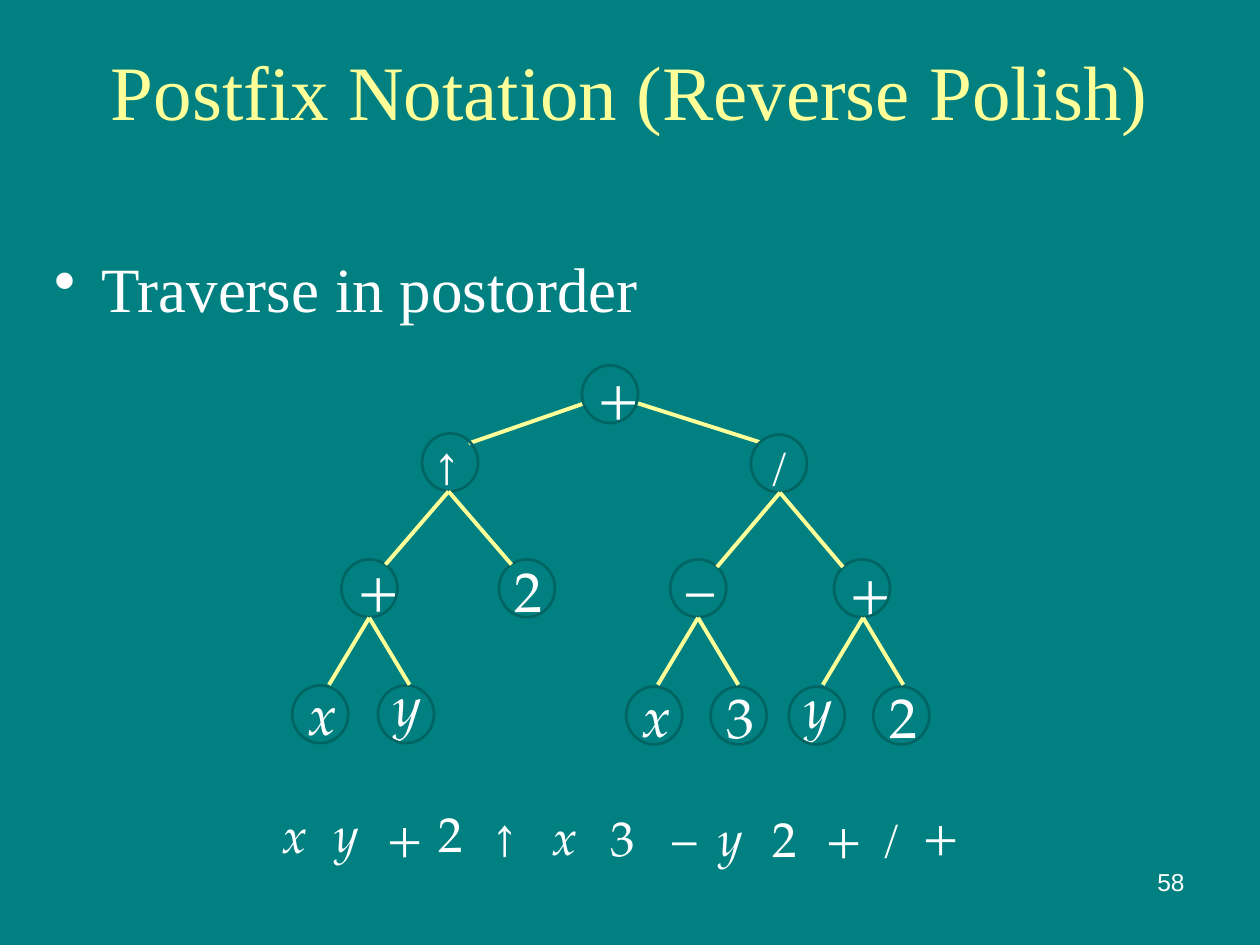
from dataclasses import dataclass

from lxml.etree import SubElement
from pptx import Presentation
from pptx.dml.color import RGBColor
from pptx.enum.shapes import MSO_CONNECTOR, MSO_SHAPE
from pptx.enum.text import MSO_ANCHOR, PP_ALIGN
from pptx.oxml.ns import qn
from pptx.slide import Slide
from pptx.util import Pt

COLOURS = {"board": "008080", "accent": "FFFF99", "ring": "006462", "chalk": "FFFFFF"}
SERIF, MATH, SANS = "Times New Roman", "TeX Gyre Pagella", "Arial"
VARIABLES = ("x", "y")


@dataclass
class Board:
    """Draws styled elements on one slide, measured in points."""

    slide: Slide

    def colour(self, name):
        return RGBColor.from_string(COLOURS[name])

    def background(self, name):
        fill = self.slide.background.fill
        fill.solid()
        fill.fore_color.rgb = self.colour(name)

    def text(self, wording, box, size, font, colour="chalk", align=PP_ALIGN.LEFT,
             anchor=MSO_ANCHOR.TOP, italic=False, wrap=True):
        frame = self.slide.shapes.add_textbox(*map(Pt, box)).text_frame
        frame.word_wrap = wrap
        frame.vertical_anchor = anchor
        frame.text = wording
        paragraph = frame.paragraphs[0]
        paragraph.alignment = align
        style = paragraph.runs[0].font
        style.size, style.name, style.italic = Pt(size), font, italic
        style.color.rgb = self.colour(colour)
        return paragraph

    def bullet(self, wording, box, size, indent):
        paragraph = self.text(wording, box, size, SERIF)
        paragraph.line_spacing = 0.9
        properties = paragraph._p.get_or_add_pPr()
        properties.set("marL", str(Pt(indent)))
        properties.set("indent", str(-Pt(indent)))
        SubElement(properties, qn("a:buChar")).set("char", "•")

    def symbol(self, sign, left, top, size, italic=False, **layout):
        width = max(28.8, size * (0.606 if sign == "+" else 0.5) + 14.4)
        box = (left, top, width, size * 1.125 + 9)
        self.text(sign, box, size, MATH, italic=italic or sign in VARIABLES,
                  wrap=False, **layout)

    def node(self, sign, left, top, shift, rise, size=32):
        self.symbol(sign, left + shift, top - rise, size)
        ring = self.slide.shapes.add_shape(
            MSO_SHAPE.OVAL, Pt(left), Pt(top), Pt(32), Pt(33))
        ring.shadow.inherit = False
        ring.fill.background()
        ring.line.color.rgb = self.colour("ring")
        ring.line.width = Pt(1.5)

    def branch(self, *ends):
        edge = self.slide.shapes.add_connector(MSO_CONNECTOR.STRAIGHT, *map(Pt, ends))
        edge.line.color.rgb = self.colour("accent")
        edge.line.width = Pt(2.25)
        SubElement(edge._element.spPr, qn("a:effectLst"))

    def fork(self, apex, top, half_span, bottom):
        for side in (-1, 1):
            self.branch(apex + side * half_span, bottom, apex, top)


NODES = [
    ("+", 332.6, 208.8, 1.5, 5.8),
    ("↑", 241.2, 247.7, 1.5, 0.7, 24),
    ("/", 429.1, 248.4, 3.6, 1.4, 24),
    ("+", 195.1, 319.7, 2, 7.2),
    ("2", 285.1, 319.7, 2, 5),
    ("–", 383, 319.7, 2, 7.2),
    ("+", 476.6, 319.7, 1.5, 5),
    ("x", 167, 391.7, 2, 7.2),
    ("y", 216, 391.7, 2, 12.2),
    ("x", 357.8, 392.4, 2, 6.5),
    ("3", 406.1, 392.4, 2, 5.8),
    ("y", 450.7, 392.4, 2, 11.5),
    ("2", 499, 392.4, 2, 5.8),
]
FORKS = [
    (256.3, 280.8, 36, 322.6),
    (445.7, 281.5, 36, 324),
    *((apex, 353, 23, 391.3) for apex in (211, 398.9, 493.2)),
]
ROOT_BRANCHES = [(434.2, 252.7, 364.3, 230.4), (267.8, 253.4, 334.1, 230.4)]
POSTFIX = [
    ("x", 154.1, 456.5, 28),
    ("y", 183.6, 455.8, 28),
    ("+", 213.8, 457.2, 28, True),
    ("2", 243.4, 455.8, 28),
    ("↑", 274.3, 459.4, 24),
    ("x", 308.2, 457.2, 28),
    ("3", 341.3, 457.9, 28),
    ("–", 376.6, 457.9, 28),
    ("y", 403.2, 457.9, 28),
    ("2", 434.2, 458.6, 28),
    ("+", 464.4, 457.9, 28),
    ("/", 495.4, 459.4, 24),
    ("+", 519.8, 456.5, 28, True),
]


def main():
    deck = Presentation()
    deck.slide_width, deck.slide_height = Pt(720), Pt(540)
    board = Board(deck.slides.add_slide(deck.slide_layouts[6]))
    board.background("board")
    board.text("Postfix Notation (Reverse Polish)", (18, 12.2, 684, 77.8), 44, SERIF,
               "accent", PP_ALIGN.CENTER, MSO_ANCHOR.MIDDLE)
    board.bullet("Traverse in postorder", (23.8, 144, 475, 40.3), 36, 27)
    for step in POSTFIX:
        board.symbol(*step, align=PP_ALIGN.CENTER, anchor=MSO_ANCHOR.MIDDLE)
    for ends in ROOT_BRANCHES:
        board.branch(*ends)
    for node in NODES:
        board.node(*node)
    for fork in FORKS:
        board.fork(*fork)
    board.text("58", (516.2, 491.8, 167.8, 37.4), 14, SANS, align=PP_ALIGN.RIGHT)
    deck.save("out.pptx")


if __name__ == "__main__":
    main()
